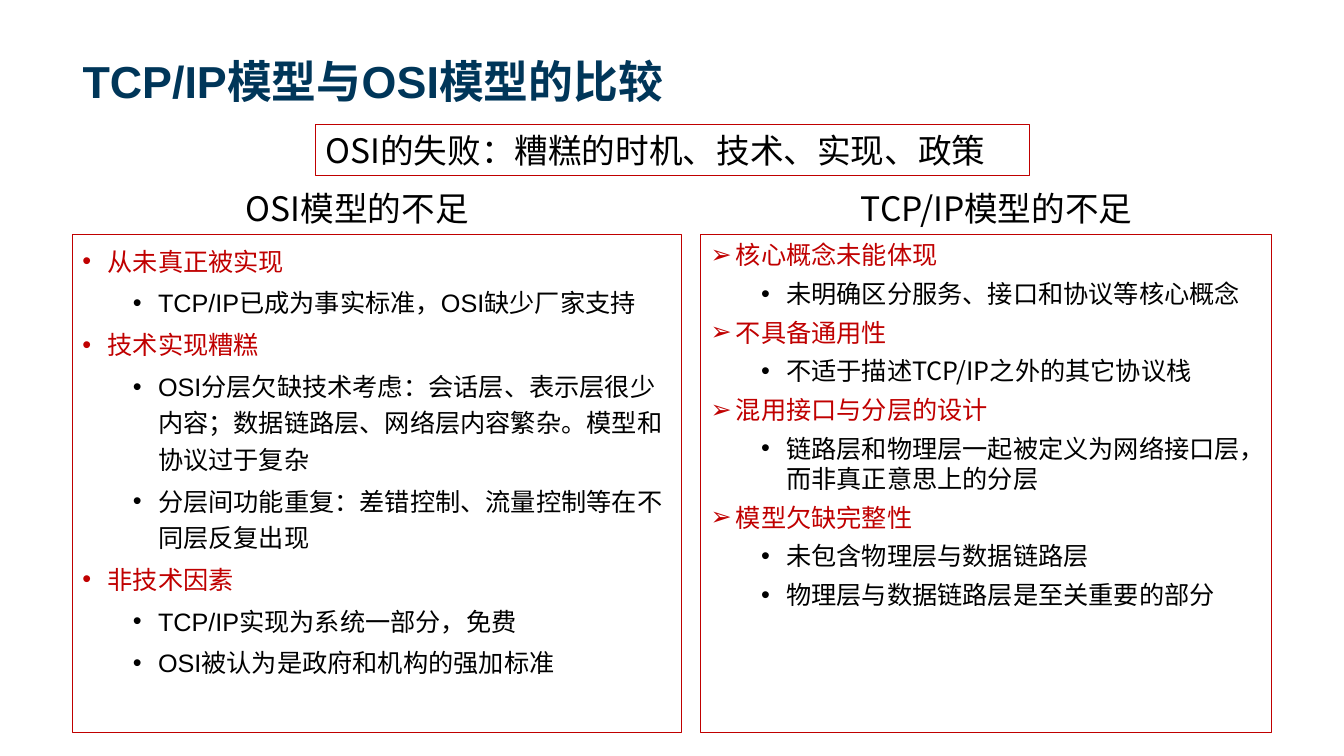
from lxml import etree
from pptx import Presentation
from pptx.dml.color import RGBColor
from pptx.enum.shapes import MSO_SHAPE
from pptx.enum.text import MSO_ANCHOR, PP_ALIGN
from pptx.oxml.ns import qn
from pptx.util import Inches, Pt

RECT = MSO_SHAPE.RECTANGLE
TOP, MIDDLE, BOTTOM = MSO_ANCHOR.TOP, MSO_ANCHOR.MIDDLE, MSO_ANCHOR.BOTTOM
LEFT = PP_ALIGN.LEFT

NAVY, RED, BLACK = "003659", "C00000", "000000"
LATIN, CJK = "Arial", "Noto Sans CJK SC"

TITLE = "TCP/IP模型与OSI模型的比较"
SUMMARY = "OSI的失败：糟糕的时机、技术、实现、政策"

# Each group is a heading followed by its points
OSI_GROUPS = [
    ("从未真正被实现", ["TCP/IP已成为事实标准，OSI缺少厂家支持"]),
    ("技术实现糟糕", [
        "OSI分层欠缺技术考虑：会话层、表示层很少内容；数据链路层、网络层内容繁杂。模型和协议过于复杂",
        "分层间功能重复：差错控制、流量控制等在不同层反复出现",
    ]),
    ("非技术因素", ["TCP/IP实现为系统一部分，免费", "OSI被认为是政府和机构的强加标准"]),
]
TCPIP_GROUPS = [
    ("核心概念未能体现", ["未明确区分服务、接口和协议等核心概念"]),
    ("不具备通用性", ["不适于描述TCP/IP之外的其它协议栈"]),
    ("混用接口与分层的设计", ["链路层和物理层一起被定义为网络接口层，而非真正意思上的分层"]),
    ("模型欠缺完整性", ["未包含物理层与数据链路层", "物理层与数据链路层是至关重要的部分"]),
]

# heading, heading left and width, panel left and width, groups,
# font, heading bullet, line spacing, space before
PANELS = [
    ("OSI模型的不足", 2.34, 2.82, 0.72, 6.04, OSI_GROUPS, LATIN, "•", 1.2, 4),
    ("TCP/IP模型的不足", 8.44, 3.35, 6.95, 5.66, TCPIP_GROUPS, CJK, "➢", 1.0, 6),
]
HEADING_TOP, HEADING_HEIGHT = 1.82, 0.5
PANEL_TOP, PANEL_HEIGHT = 2.33, 4.94


def rgb(hex_color):
    return RGBColor.from_string(hex_color)


def style(p, size, font, color, bold=False):
    p.alignment = LEFT
    for r in p.runs:
        r.font.size = Pt(size)
        r.font.name = font
        r.font.bold = bold
        r.font.color.rgb = rgb(color)
        etree.SubElement(r.font._element, qn("a:ea")).set("typeface", CJK)


def add_bullet(p, char, indent):
    """Hang the paragraph by a quarter inch behind a bullet character."""
    pPr = p._p.get_or_add_pPr()
    pPr.set("marL", str(Inches(indent)))
    pPr.set("indent", str(Inches(-0.25)))
    etree.SubElement(pPr, qn("a:buFont")).set("typeface", LATIN)
    etree.SubElement(pPr, qn("a:buChar")).set("char", char)


def add_label(slide, text, box, size, font, color, anchor=TOP, bold=False):
    sp = slide.shapes.add_textbox(*map(Inches, box))
    tf = sp.text_frame
    tf.word_wrap = True
    tf.vertical_anchor = anchor
    tf.text = text
    style(tf.paragraphs[0], size, font, color, bold)


def add_frame(slide, box, line_width, anchor=TOP):
    """Add an unfilled red-edged rectangle and return its text frame."""
    sp = slide.shapes.add_shape(RECT, *map(Inches, box))
    sp.shadow.inherit = False
    sp.fill.background()
    sp.line.color.rgb = rgb(RED)
    sp.line.width = Pt(line_width)
    tf = sp.text_frame
    tf.word_wrap = True
    tf.vertical_anchor = anchor
    return tf


def fill_panel(tf, groups, font, heading_bullet, line_spacing, space_before):
    rows = []
    for heading, points in groups:
        rows.append((heading, 0, heading_bullet, 0.25, RED))
        rows += [(point, 1, "•", 0.75, BLACK) for point in points]
    for i, (text, level, bullet, indent, color) in enumerate(rows):
        p = tf.add_paragraph() if i else tf.paragraphs[0]
        p.text = text
        p.level = level
        add_bullet(p, bullet, indent)
        p.line_spacing = line_spacing
        p.space_before = Pt(space_before if i else 0)
        style(p, 18, font, color)


def main():
    prs = Presentation()
    prs.slide_width, prs.slide_height = Inches(13.33), Inches(7.5)
    slide = prs.slides.add_slide(prs.slide_layouts[6])

    add_label(slide, TITLE, (0.72, 0, 11.88, 1.12), 32, LATIN, NAVY, BOTTOM, True)
    for heading, head_x, head_w, x, w, *content in PANELS:
        tf = add_frame(slide, (x, PANEL_TOP, w, PANEL_HEIGHT), 0.5)
        fill_panel(tf, *content)
        add_label(slide, heading, (head_x, HEADING_TOP, head_w, HEADING_HEIGHT),
                  24, CJK, BLACK)

    tf = add_frame(slide, (3.13, 1.24, 7.08, 0.5), 0.75, MIDDLE)
    tf.text = SUMMARY
    style(tf.paragraphs[0], 24, CJK, BLACK)

    prs.save("out.pptx")


if __name__ == "__main__":
    main()
